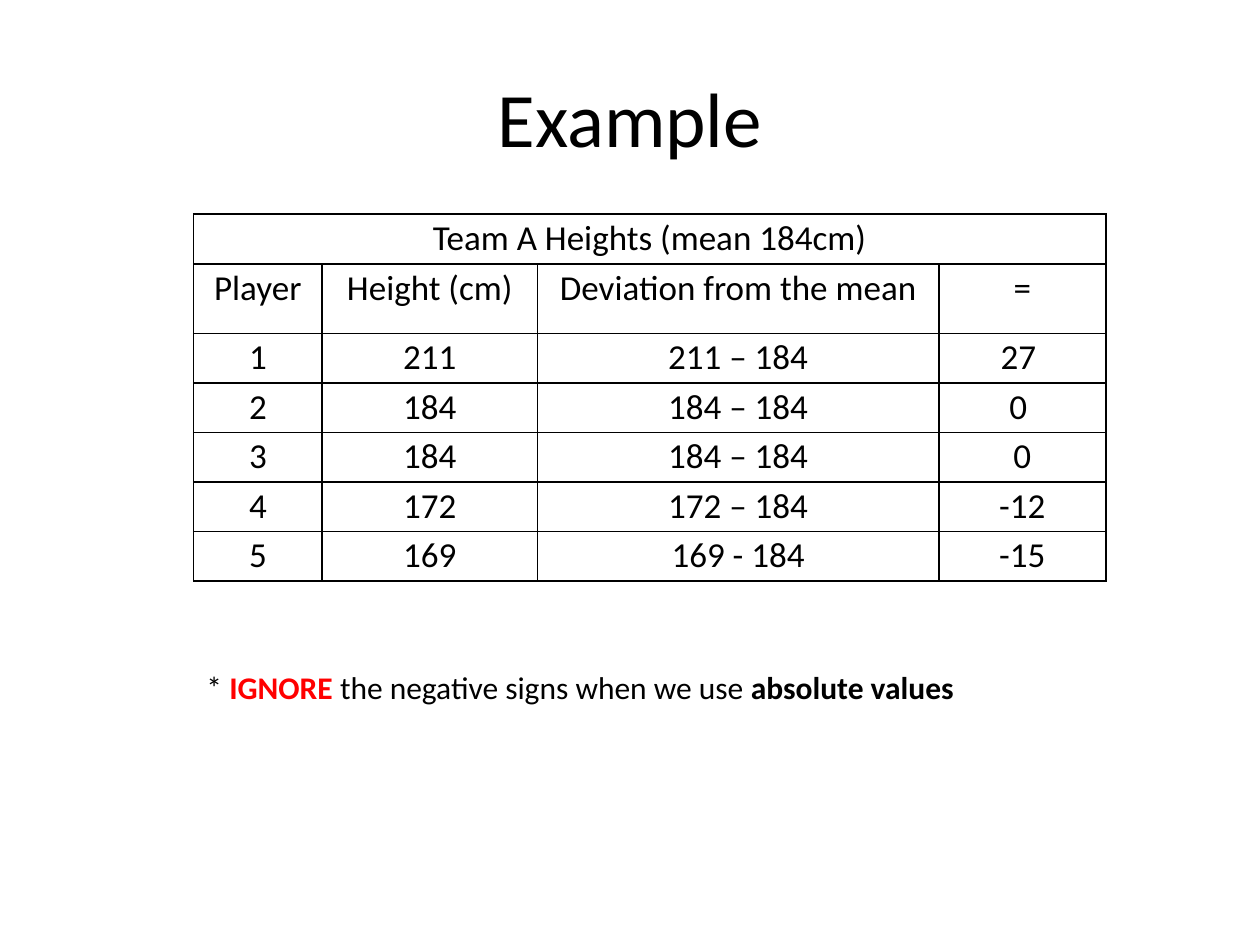
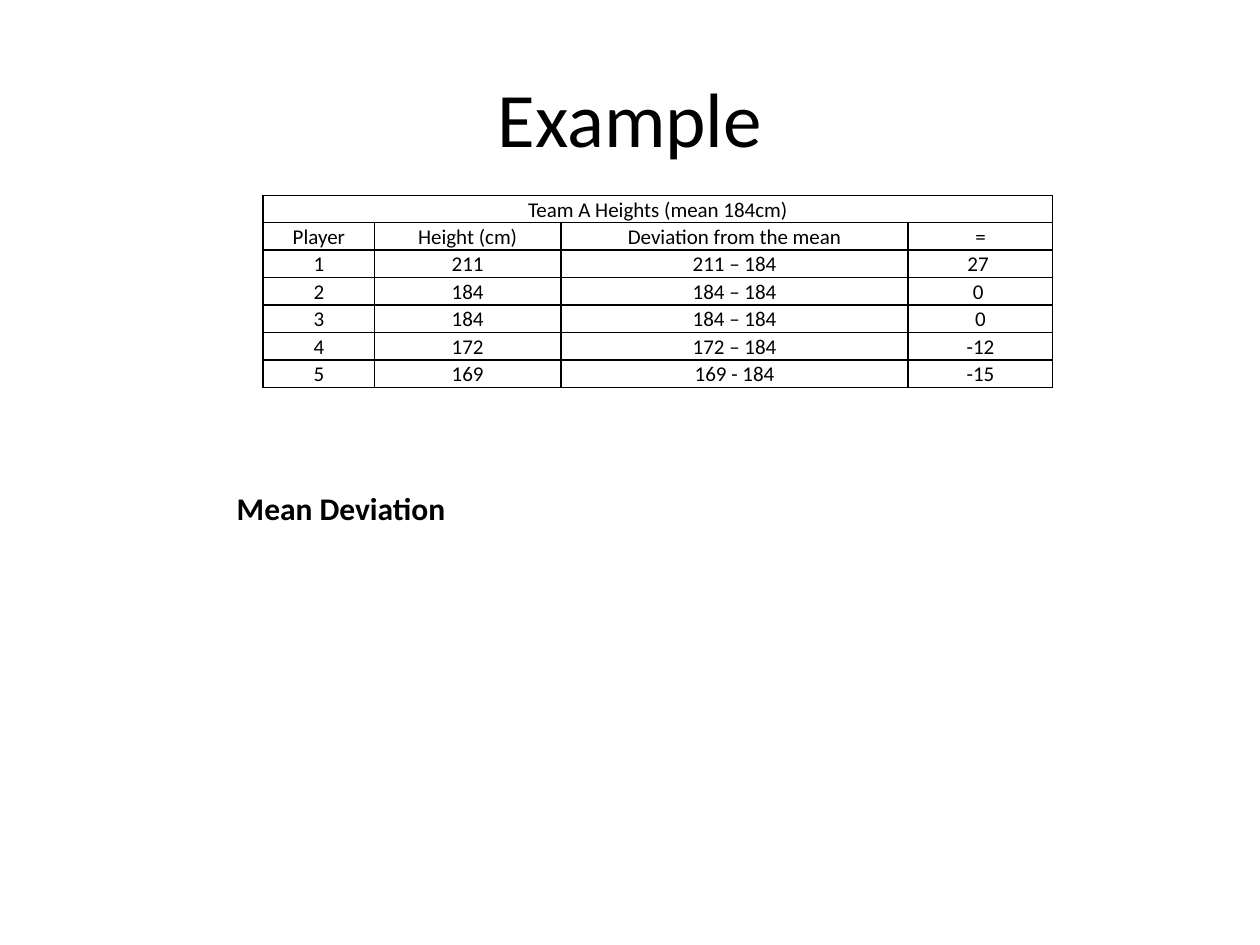
from dataclasses import dataclass

from lxml.etree import SubElement
from pptx import Presentation
from pptx.dml.color import RGBColor
from pptx.enum.text import MSO_ANCHOR as Anchor, PP_ALIGN as Align
from pptx.oxml.ns import qn
from pptx.util import Pt


@dataclass(frozen=True)
class Theme:
    """Colours, font and type sizes shared by the slides."""
    font: str = "Calibri"
    ink: str = "000000"
    paper: str = "FFFFFF"
    alert: str = "FF0000"
    title: float = 44
    note: float = 18
    border: float = 1
    cell_spacing: float = 1.07
    cell_inset: float = 5.4


@dataclass(frozen=True)
class Box:
    """A region in points."""
    left: float
    top: float
    width: float
    height: float

    def lengths(self):
        """Return the four lengths in the order python-pptx takes them."""
        return Pt(self.left), Pt(self.top), Pt(self.width), Pt(self.height)


THEME = Theme()
TITLE_BOX = Box(36, 21.6, 648, 90)
COLUMN_SHARES = (0.141, 0.236, 0.44, 0.183)
CAPTION = "Team A Heights (mean 184cm)"
HEADINGS = ("Player", "Height (cm)", "Deviation from the mean", "=")
PLAYERS = (
    ("1", "211", "211 – 184", "27 "),
    ("2", "184", "184 – 184", "0 "),
    ("3", "184", "184 – 184", "0"),
    ("4", "172", "172 – 184", "-12"),
    ("5", "169", "169 - 184", "-15"),
)


def add_run(paragraph, words, size, bold=False, color=THEME.ink):
    """Add one formatted run to a paragraph."""
    run = paragraph.add_run()
    run.text = words
    run.font.name = THEME.font
    run.font.size = Pt(size)
    run.font.bold = bold
    run.font.color.rgb = RGBColor.from_string(color)


def add_title(slide, words, box):
    """Place and format the title placeholder."""
    title = slide.shapes.title
    title.left, title.top, title.width, title.height = box.lengths()
    frame = title.text_frame
    frame.vertical_anchor = Anchor.MIDDLE
    frame.paragraphs[0].alignment = Align.CENTER
    add_run(frame.paragraphs[0], words, THEME.title)


def rule_cell(cell):
    """Draw a thin border on all four sides of a cell."""
    properties = cell._tc.get_or_add_tcPr()
    for side in ("a:lnL", "a:lnR", "a:lnT", "a:lnB"):
        line = SubElement(properties, qn(side), w=str(Pt(THEME.border)))
        fill = SubElement(line, qn("a:solidFill"))
        SubElement(fill, qn("a:srgbClr"), val=THEME.ink)


def fill_cell(cell, words, size):
    """Format one table cell and write its words."""
    rule_cell(cell)
    cell.fill.solid()
    cell.fill.fore_color.rgb = RGBColor.from_string(THEME.paper)
    cell.margin_left = cell.margin_right = Pt(THEME.cell_inset)
    cell.margin_top = cell.margin_bottom = 0
    paragraph = cell.text_frame.paragraphs[0]
    paragraph.alignment = Align.CENTER
    paragraph.line_spacing = THEME.cell_spacing
    if words:
        add_run(paragraph, words, size)


def add_heights_table(slide, box, size, heading_extra=0):
    """Add the table of heights, its heading row taller by the given extra."""
    rows = ((CAPTION, "", "", ""), HEADINGS, *PLAYERS)
    table = slide.shapes.add_table(len(rows), len(HEADINGS), *box.lengths()).table
    table.first_row = table.horz_banding = False
    for column, share in zip(table.columns, COLUMN_SHARES):
        column.width = Pt(box.width * share)
    row_height = (box.height - heading_extra) / len(rows)
    for row in table.rows:
        row.height = Pt(row_height)
    table.rows[1].height = Pt(row_height + heading_extra)
    table.cell(0, 0).merge(table.cell(0, len(HEADINGS) - 1))
    for r, row in enumerate(rows):
        for c, words in enumerate(row):
            fill_cell(table.cell(r, c), words, size)


def add_note(slide, box, runs, indent=0):
    """Add a line of text made of (words, bold, colour) runs."""
    frame = slide.shapes.add_textbox(*box.lengths()).text_frame
    frame.word_wrap = True
    paragraph = frame.paragraphs[0]
    paragraph._p.get_or_add_pPr().set("marL", str(Pt(indent)))
    for words, bold, color in runs:
        add_run(paragraph, words, THEME.note, bold, color)


def add_example_slide(deck):
    """Add a title-only slide headed Example."""
    slide = deck.slides.add_slide(deck.slide_layouts[5])
    add_title(slide, "Example", TITLE_BOX)
    return slide


def build_absolute_values(deck):
    """Build the slide on ignoring the negative signs."""
    slide = add_example_slide(deck)
    add_heights_table(slide, Box(110.6, 122.4, 521.3, 209.8), 20, heading_extra=11.4)
    add_note(slide, Box(110.9, 378, 510.5, 29), (
        ("* ", False, THEME.ink),
        ("IGNORE ", True, THEME.alert),
        ("the negative signs when we use ", False, THEME.ink),
        ("absolute values", True, THEME.ink),
    ))


def build_mean_deviation(deck):
    """Build the slide that introduces the mean deviation."""
    slide = add_example_slide(deck)
    add_heights_table(slide, Box(150.4, 111.6, 451.2, 109.6), 12)
    add_note(slide, Box(92.2, 275.8, 566.6, 116.6),
             (("Mean Deviation", True, THEME.ink),), indent=36)


def main():
    """Build and save the deck."""
    deck = Presentation()
    deck.slide_width, deck.slide_height = Pt(720), Pt(540)
    build_absolute_values(deck)
    build_mean_deviation(deck)
    deck.save("out.pptx")


if __name__ == "__main__":
    main()
